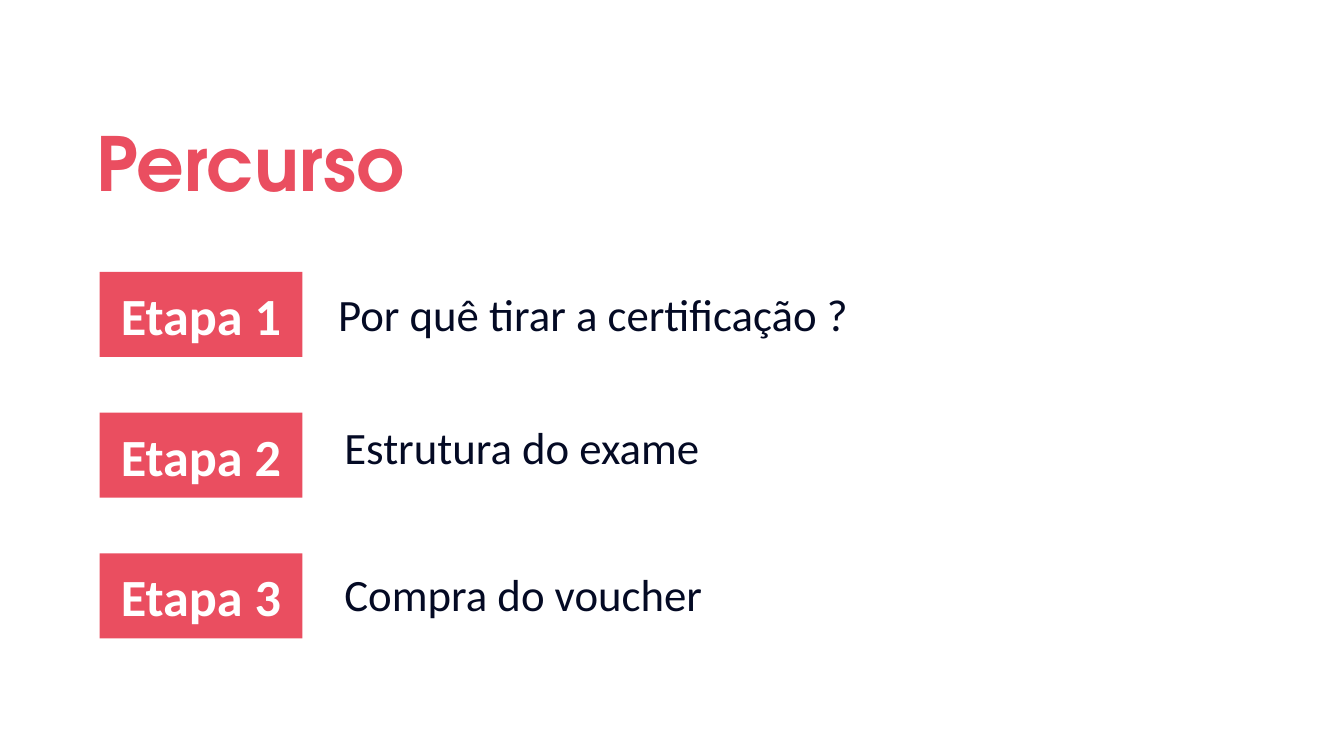
"""Build the slide that lists the three steps of the course."""
from pptx import Presentation
from pptx.dml.color import RGBColor
from pptx.enum.shapes import MSO_SHAPE
from pptx.enum.text import MSO_ANCHOR, MSO_AUTO_SIZE, PP_ALIGN
from pptx.util import Pt

PX = 9525
RECTANGLE = MSO_SHAPE.RECTANGLE
TOP, MIDDLE = MSO_ANCHOR.TOP, MSO_ANCHOR.MIDDLE
LEFT, CENTER = PP_ALIGN.LEFT, PP_ALIGN.CENTER
NO_AUTOFIT = MSO_AUTO_SIZE.NONE
COLORS = {"coral": "EA4E60", "white": "FFFFFF", "navy": "040A24"}
STEPS = [
    ("Etapa 1", "Por quê tirar a certificação ?", 309, 267),
    ("Etapa 2", "Estrutura do exame", 315, 394),
    ("Etapa 3", "Compra do voucher", 315, 534),
]
BADGE_LEFT, BADGE_TOP, BADGE_WIDTH, BADGE_HEIGHT = 95, 259, 193, 81
BADGE_PITCH = 134


def px(*lengths):
    return [length * PX for length in lengths]


def write(box, text, font, size, color, bold, align, anchor, inset):
    frame = box.text_frame
    frame.word_wrap = True
    frame.auto_size = NO_AUTOFIT
    frame.vertical_anchor = anchor
    frame.margin_left = frame.margin_right = 13 * PX
    frame.margin_top = frame.margin_bottom = inset * PX
    para = frame.paragraphs[0]
    para.alignment = align
    span = para.add_run()
    span.text = text
    span.font.name = font
    span.font.size = Pt(size)
    span.font.bold = bold
    span.font.color.rgb = RGBColor.from_string(COLORS[color])
    return para


deck = Presentation()
deck.slide_width, deck.slide_height = px(1280, 720)
page = deck.slides.add_slide(deck.slide_layouts[5])

title = page.shapes.title
title.left, title.top, title.width, title.height = px(79, 89, 1038, 118)
heading = write(title, "Percurso", "TeX Gyre Adventor", 53.3, "coral", True, LEFT, MIDDLE, 13)
heading.line_spacing = 1.15

for index, (label, topic, topic_left, topic_top) in enumerate(STEPS):
    badge_top = BADGE_TOP + index * BADGE_PITCH
    badge = page.shapes.add_shape(
        RECTANGLE, *px(BADGE_LEFT, badge_top, BADGE_WIDTH, BADGE_HEIGHT))
    badge.shadow.inherit = False
    badge.fill.solid()
    badge.fill.fore_color.rgb = RGBColor.from_string(COLORS["coral"])
    badge.line.fill.background()
    write(badge, label, "Calibri", 37.3, "white", True, CENTER, MIDDLE, 13)

    topic_box = page.shapes.add_textbox(*px(topic_left, topic_top, 864, 64))
    write(topic_box, topic, "Calibri", 32, "navy", False, LEFT, TOP, 6)

deck.save("out.pptx")
